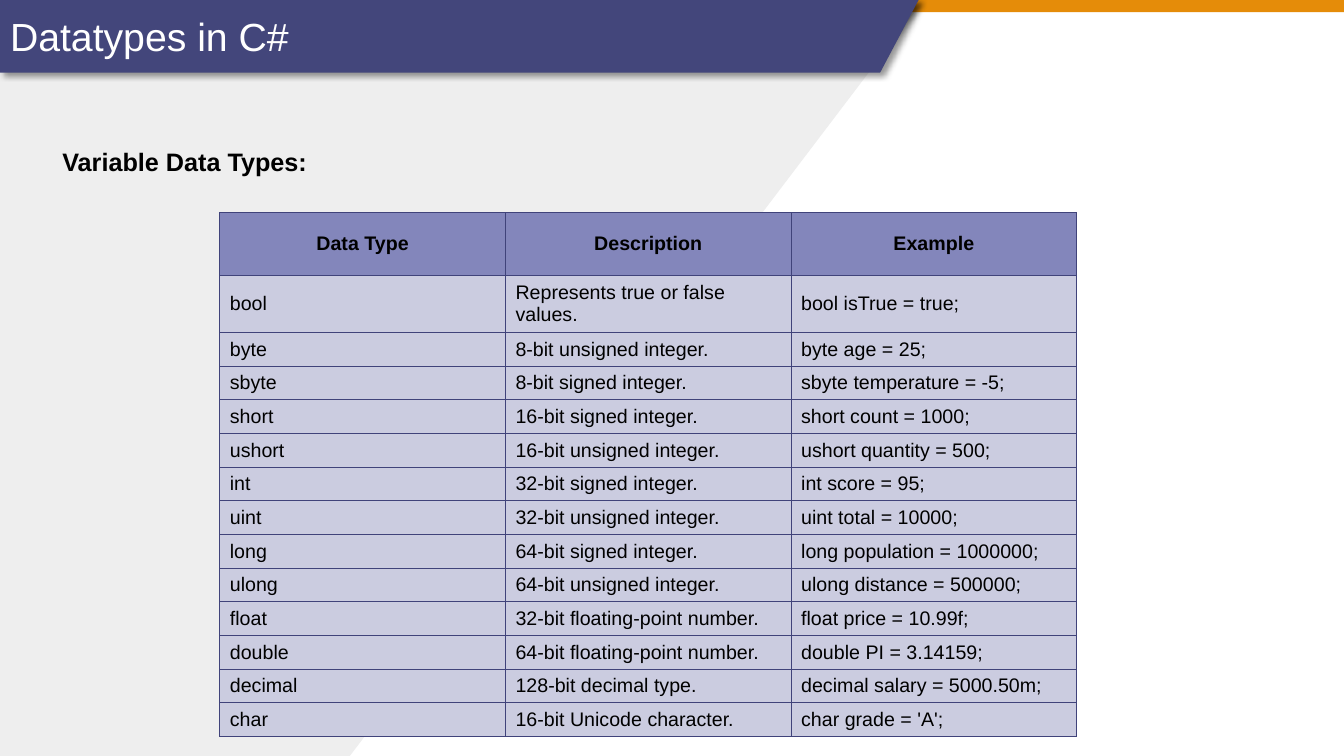
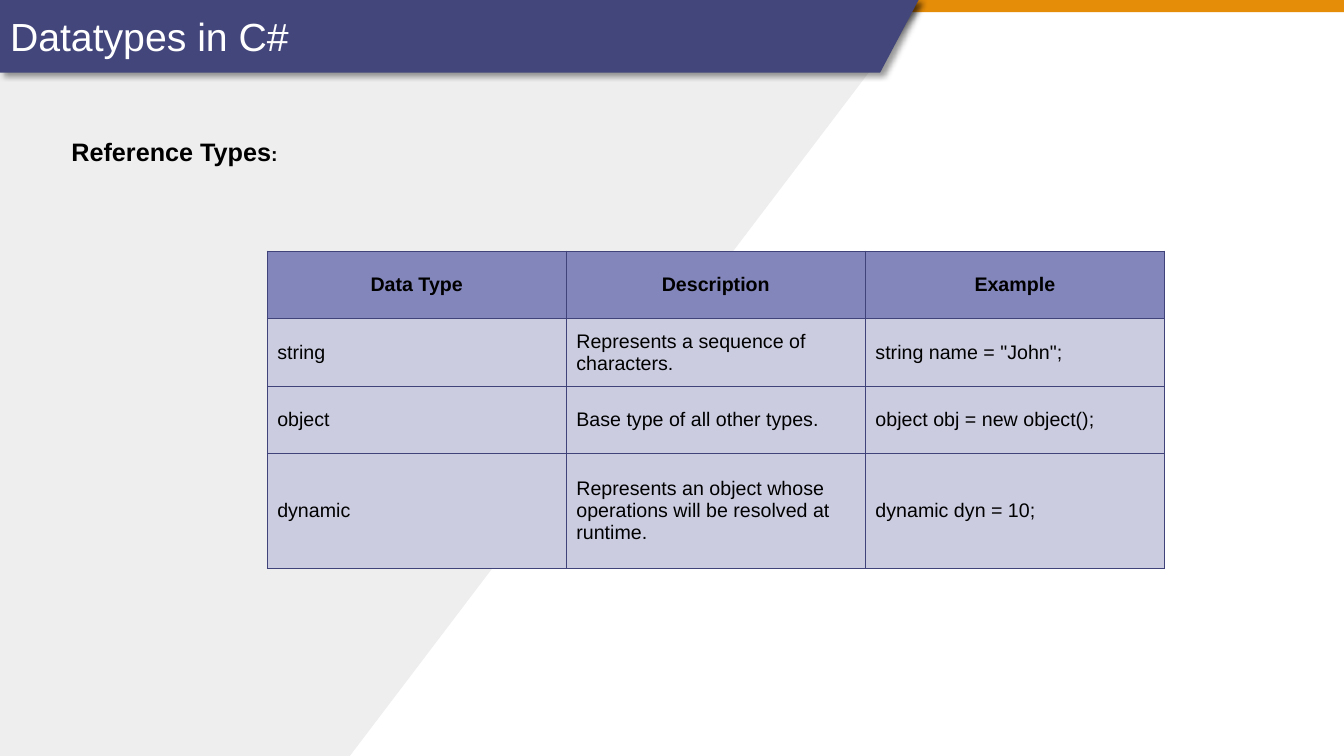
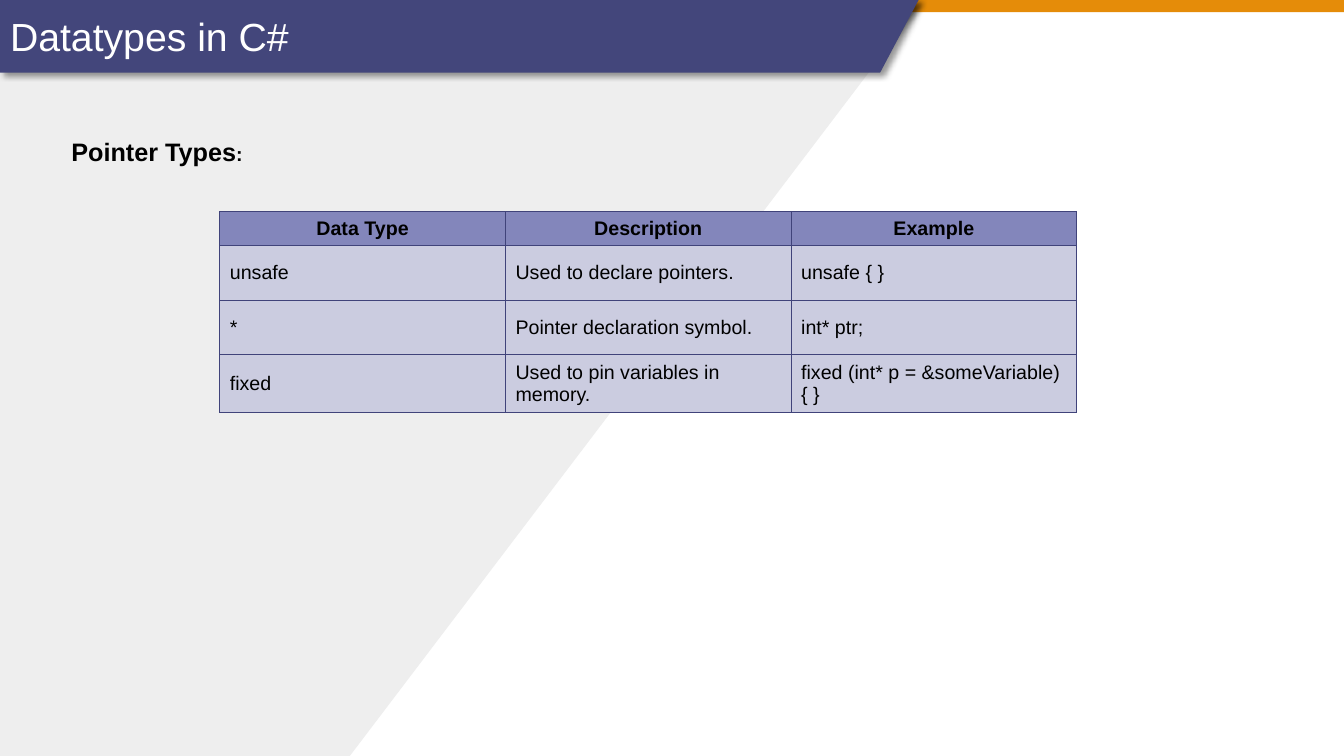
from dataclasses import dataclass
from itertools import product

from lxml.etree import SubElement
from pptx import Presentation
from pptx.dml.color import RGBColor
from pptx.enum.shapes import MSO_SHAPE
from pptx.enum.text import MSO_ANCHOR, MSO_AUTO_SIZE, PP_ALIGN
from pptx.oxml.ns import qn
from pptx.util import Inches, Pt


@dataclass(frozen=True)
class Theme:
    font: str = "Arial"
    banner: str = "43467B"
    stripe: str = "E58C09"
    wedge: str = "EEEEEE"
    header: str = "8386BB"
    body: str = "CBCCE0"
    border: str = "40437A"
    shadow: str = "000000"
    ink: str = "000000"
    paper: str = "FFFFFF"
    title_size: int = 28
    label_size: int = 18
    table_size: int = 14
    border_width: float = 0.75


THEME = Theme()
SLIDE_SIZE = (13.33, 7.5)
BANNER_TOP_WIDTH = 9.11
BANNER_BASE_WIDTH = 8.73
BANNER_HEIGHT = 0.72
HEADINGS = ("Data Type", "Description", "Example")

SECTIONS = [
    {
        "label": ("Variable Data Types", THEME.label_size),
        "label_at": (0.52, 1.4),
        "table_box": (2.18, 2.11, 8.5),
        "row_heights": [0.62, 0.57] + [0.33] * 12,
        "rows": [
            ("bool", "Represents true or false values.", "bool isTrue = true;"),
            ("byte", "8-bit unsigned integer.", "byte age = 25;"),
            ("sbyte", "8-bit signed integer.", "sbyte temperature = -5;"),
            ("short", "16-bit signed integer.", "short count = 1000;"),
            ("ushort", "16-bit unsigned integer.", "ushort quantity = 500;"),
            ("int", "32-bit signed integer.", "int score = 95;"),
            ("uint", "32-bit unsigned integer.", "uint total = 10000;"),
            ("long", "64-bit signed integer.", "long population = 1000000;"),
            ("ulong", "64-bit unsigned integer.", "ulong distance = 500000;"),
            ("float", "32-bit floating-point number.", "float price = 10.99f;"),
            ("double", "64-bit floating-point number.", "double PI = 3.14159;"),
            ("decimal", "128-bit decimal type.", "decimal salary = 5000.50m;"),
            ("char", "16-bit Unicode character.", "char grade = 'A';"),
        ],
    },
    {
        "label": ("Reference Types", THEME.table_size),
        "label_at": (0.61, 1.3),
        "table_box": (2.65, 2.49, 8.9),
        "row_heights": [0.67, 0.67, 0.67, 1.14],
        "rows": [
            ("string", "Represents a sequence of characters.", 'string name = "John";'),
            ("object", "Base type of all other types.", "object obj = new object();"),
            (
                "dynamic",
                "Represents an object whose operations will be resolved at runtime.",
                "dynamic dyn = 10;",
            ),
        ],
    },
    {
        "label": ("Pointer Types", THEME.table_size),
        "label_at": (0.61, 1.3),
        "table_box": (2.18, 2.1, 8.5),
        "row_heights": [0.34, 0.54, 0.54, 0.57],
        "rows": [
            ("unsafe", "Used to declare pointers.", "unsafe { }"),
            ("*", "Pointer declaration symbol.", "int* ptr;"),
            ("fixed", "Used to pin variables in memory.", "fixed (int* p = &someVariable) { }"),
        ],
    },
]


def set_values(target, values):
    for name, value in values.items():
        setattr(target, name, value)


def add_span(para, text, size, color=THEME.ink, bold=False):
    span = para.add_run()
    span.text = text
    set_values(span.font, {"name": THEME.font, "size": Pt(size), "bold": bold})
    span.font.color.rgb = RGBColor.from_string(color)


def paint(shape, color):
    shape.shadow.inherit = False
    shape.fill.solid()
    shape.fill.fore_color.rgb = RGBColor.from_string(color)
    shape.line.fill.background()
    return shape


def add_outline(shapes, points, color):
    corners = [(Inches(x), Inches(y)) for x, y in points]
    builder = shapes.build_freeform(*corners[0])
    builder.add_line_segments(corners[1:], close=True)
    return paint(builder.convert_to_shape(), color)


def add_shadow(shape):
    effects = shape.element.spPr.find(qn("a:effectLst"))
    shadow = SubElement(
        effects, qn("a:outerShdw"), blurRad=str(Pt(4)), dist=str(Pt(3)),
        dir="2700000", algn="tl", rotWithShape="0",
    )
    color = SubElement(shadow, qn("a:srgbClr"), val=THEME.shadow)
    SubElement(color, qn("a:alpha"), val="40000")


def add_banner(shapes, height):
    points = [(0, 0), (BANNER_TOP_WIDTH, 0), (BANNER_BASE_WIDTH, height), (0, height)]
    banner = add_outline(shapes, points, THEME.banner)
    add_shadow(banner)
    return banner


def decorate_layout(layout, page):
    width, height = SLIDE_SIZE
    wedge_points = [
        (0, 0), (BANNER_TOP_WIDTH, 0), (BANNER_TOP_WIDTH, 0.07), (3.47, height), (0, height),
    ]
    wedge = add_outline(page.shapes, wedge_points, THEME.wedge)
    stripe = page.shapes.add_shape(
        MSO_SHAPE.RECTANGLE, 0, 0, Inches(width), Inches(0.12)
    )
    paint(stripe, THEME.stripe)
    banners = [add_banner(page.shapes, height) for height in (0.5, BANNER_HEIGHT)]
    tree = layout.element.cSld.spTree
    for position, shape in enumerate([wedge, stripe, *banners], start=2):
        tree.insert(position, shape.element)


def fill_title(page, text):
    title = page.shapes.title
    set_values(title, {
        "left": 0, "top": 0,
        "width": Inches(BANNER_TOP_WIDTH), "height": Inches(BANNER_HEIGHT),
    })
    set_values(title.text_frame, {
        "auto_size": MSO_AUTO_SIZE.NONE,
        "vertical_anchor": MSO_ANCHOR.MIDDLE,
        "word_wrap": True,
    })
    para = title.text_frame.paragraphs[0]
    para.alignment = PP_ALIGN.LEFT
    add_span(para, text, THEME.title_size, THEME.paper)


def add_label(page, place, text, colon_size):
    left, top = place
    box = page.shapes.add_textbox(Inches(left), Inches(top), Inches(3), Inches(0.4))
    box.text_frame.word_wrap = True
    para = box.text_frame.paragraphs[0]
    add_span(para, text, THEME.label_size, bold=True)
    add_span(para, ":", colon_size, bold=True)


def add_borders(cell):
    properties = cell._tc.get_or_add_tcPr()
    for side in ("lnL", "lnR", "lnT", "lnB"):
        line = SubElement(properties, qn(f"a:{side}"), w=str(Pt(THEME.border_width)))
        SubElement(SubElement(line, qn("a:solidFill")), qn("a:srgbClr"), val=THEME.border)


def format_cell(cell, text, heading):
    add_borders(cell)
    cell.fill.solid()
    cell.fill.fore_color.rgb = RGBColor.from_string(THEME.header if heading else THEME.body)
    cell.vertical_anchor = MSO_ANCHOR.MIDDLE
    para = cell.text_frame.paragraphs[0]
    para.alignment = PP_ALIGN.CENTER if heading else PP_ALIGN.LEFT
    add_span(para, text, THEME.table_size, bold=heading)


def add_type_table(page, box, row_heights, rows):
    left, top, width = box
    records = [HEADINGS, *rows]
    table = page.shapes.add_table(
        len(records), len(HEADINGS),
        Inches(left), Inches(top), Inches(width), Inches(sum(row_heights)),
    ).table
    table.horz_banding = False
    for row, height in zip(table.rows, row_heights):
        row.height = Inches(height)
    for row, column in product(range(len(records)), range(len(HEADINGS))):
        format_cell(table.cell(row, column), records[row][column], row == 0)


def add_section(page, section):
    fill_title(page, "Datatypes in C#")
    add_label(page, section["label_at"], *section["label"])
    add_type_table(page, section["table_box"], section["row_heights"], section["rows"])


def main():
    deck = Presentation()
    deck.slide_width, deck.slide_height = map(Inches, SLIDE_SIZE)
    layout = deck.slide_layouts[5]
    pages = [deck.slides.add_slide(layout) for section in SECTIONS]
    decorate_layout(layout, pages[0])
    for page, section in zip(pages, SECTIONS):
        add_section(page, section)
    deck.save("out.pptx")


if __name__ == "__main__":
    main()
